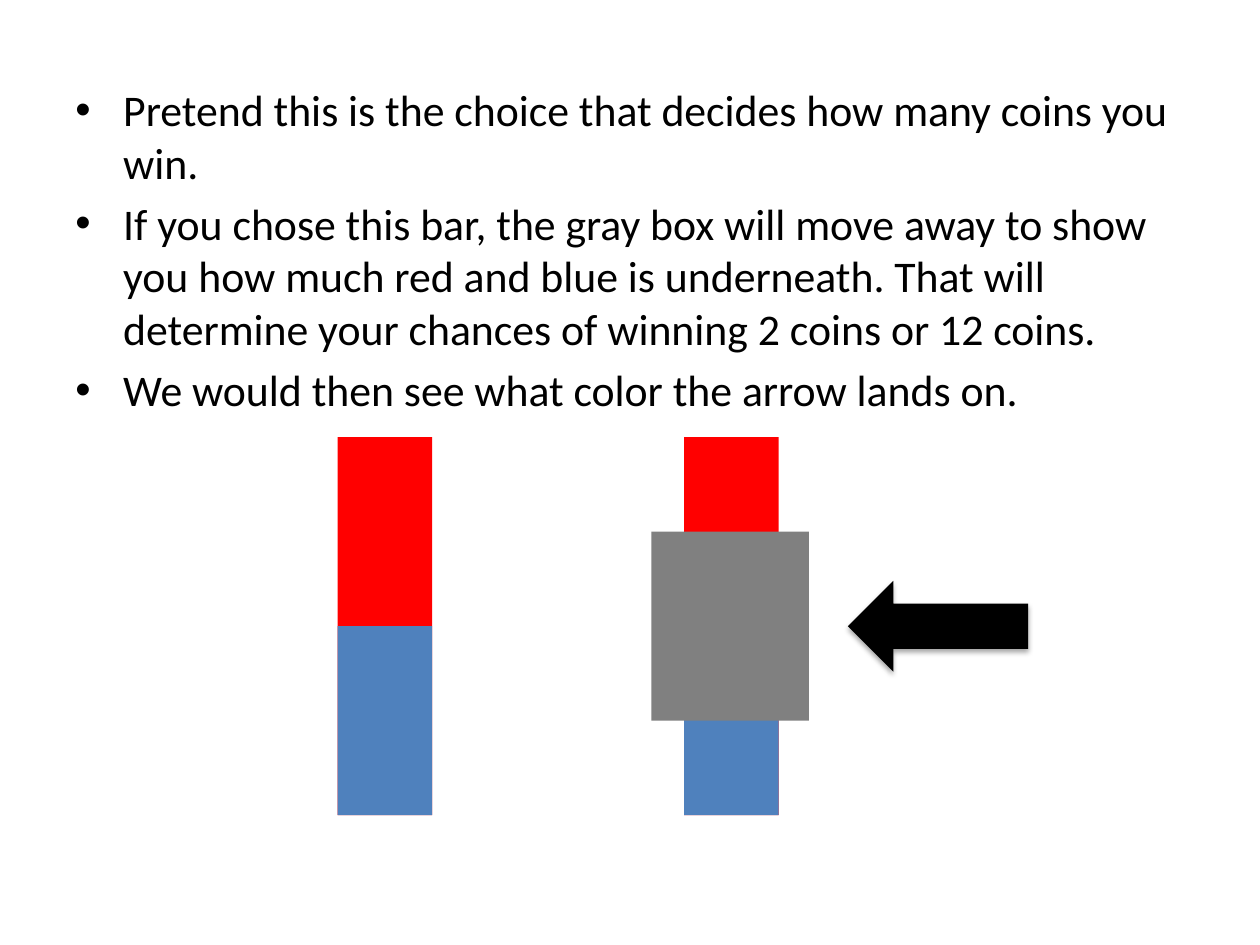
from lxml import etree
from pptx import Presentation
from pptx.dml.color import RGBColor
from pptx.enum.shapes import MSO_SHAPE
from pptx.oxml.ns import qn
from pptx.util import Inches, Pt

RECTANGLE = MSO_SHAPE.RECTANGLE
LEFT_ARROW = MSO_SHAPE.LEFT_ARROW

COLORS = {
    "red": "FF0000",
    "blue": "4F81BD",
    "gray": "808080",
    "black": "000000",
}
INSTRUCTIONS = [
    "Pretend this is the choice that decides how many coins you win.",
    "If you chose this bar, the gray box will move away to show you how much "
    "red and blue is underneath. That will determine your chances of winning "
    "2 coins or 12 coins.",
    "We would then see what color the arrow lands on.",
]
BAR_TOP, BAR_WIDTH, BAR_HEIGHT = 3.47, 0.75, 3
HALF = BAR_HEIGHT / 2

prs = Presentation()
prs.slide_width = Inches(10)
prs.slide_height = Inches(7.5)
slide = prs.slides.add_slide(prs.slide_layouts[6])


def add_block(kind, left, top, width, height, color, parent):
    block = parent.shapes.add_shape(
        kind, Inches(left), Inches(top), Inches(width), Inches(height))
    block.shadow.inherit = False
    block.fill.solid()
    block.fill.fore_color.rgb = RGBColor.from_string(COLORS[color])
    block.line.fill.background()
    return block


arrow = add_block(LEFT_ARROW, 6.73, 4.61, 1.43, 0.72, "black", slide)
effects = arrow._element.spPr.find(qn("a:effectLst"))
shadow = etree.SubElement(
    effects, qn("a:outerShdw"), blurRad=str(Pt(3.1)), dist=str(Pt(1.8)),
    dir="5400000", rotWithShape="0")
shadow_color = etree.SubElement(shadow, qn("a:srgbClr"), val=COLORS["black"])
etree.SubElement(shadow_color, qn("a:alpha"), val="35000")

instructions = slide.shapes.add_textbox(
    Inches(0.5), Inches(0.61), Inches(9), Inches(2.34)).text_frame
instructions.word_wrap = True
instructions.text = "\n".join(INSTRUCTIONS)
for instruction in instructions.paragraphs:
    instruction.font.name = "Calibri"
    instruction.font.size = Pt(25)
    instruction.font.color.rgb = RGBColor.from_string(COLORS["black"])
    instruction.space_before = Pt(5)
    properties = instruction._p.get_or_add_pPr()
    properties.set("marL", str(Inches(0.38)))
    properties.set("indent", str(Inches(-0.38)))
    bullet_font = etree.Element(qn("a:buFont"), typeface="Arial")
    bullet = etree.Element(qn("a:buChar"), char="•")
    properties.find(qn("a:spcBef")).addnext(bullet_font)
    bullet_font.addnext(bullet)

for bar_left, covered in [(2.68, False), (5.43, True)]:
    bar = slide.shapes.add_group_shape()
    add_block(RECTANGLE, bar_left, BAR_TOP, BAR_WIDTH, BAR_HEIGHT, "red", bar)
    add_block(RECTANGLE, bar_left, BAR_TOP + HALF, BAR_WIDTH, HALF, "blue", bar)
    if covered:
        add_block(RECTANGLE, 5.17, BAR_TOP + HALF / 2, 1.25, HALF, "gray", bar)

prs.save("out.pptx")
